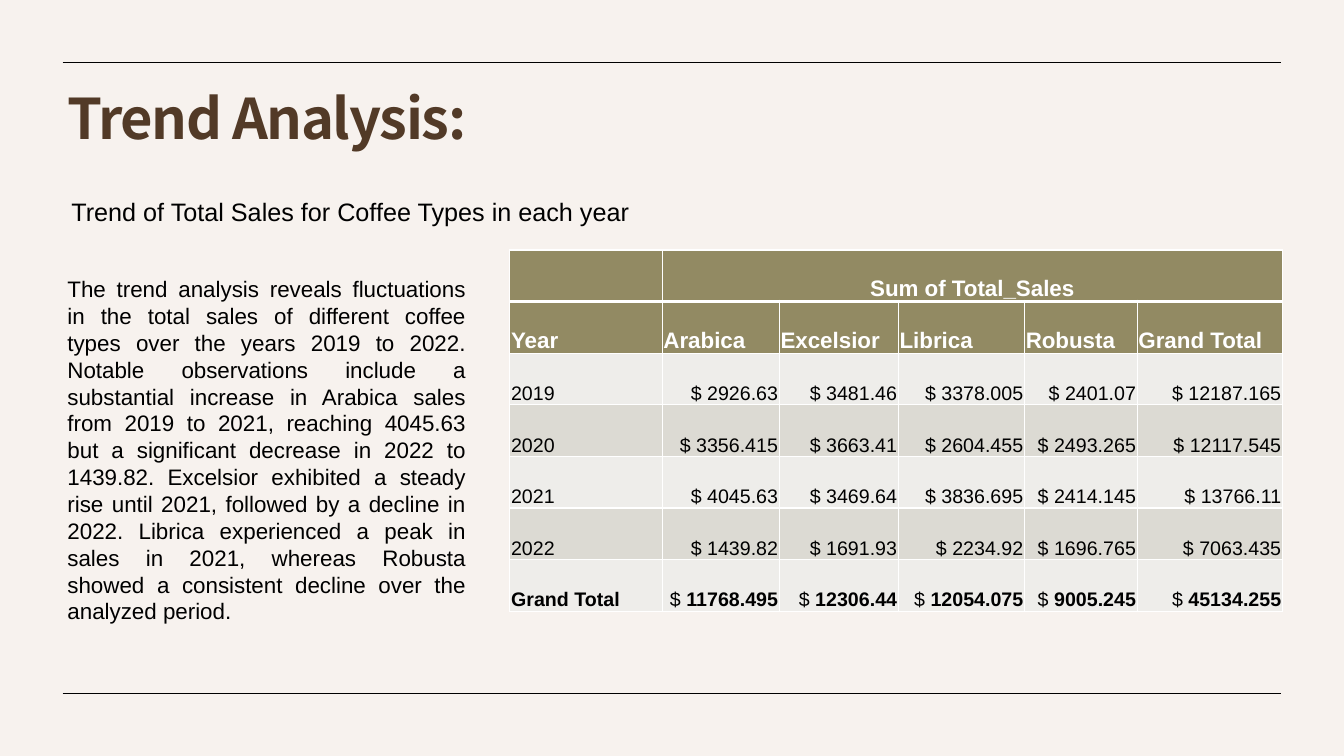
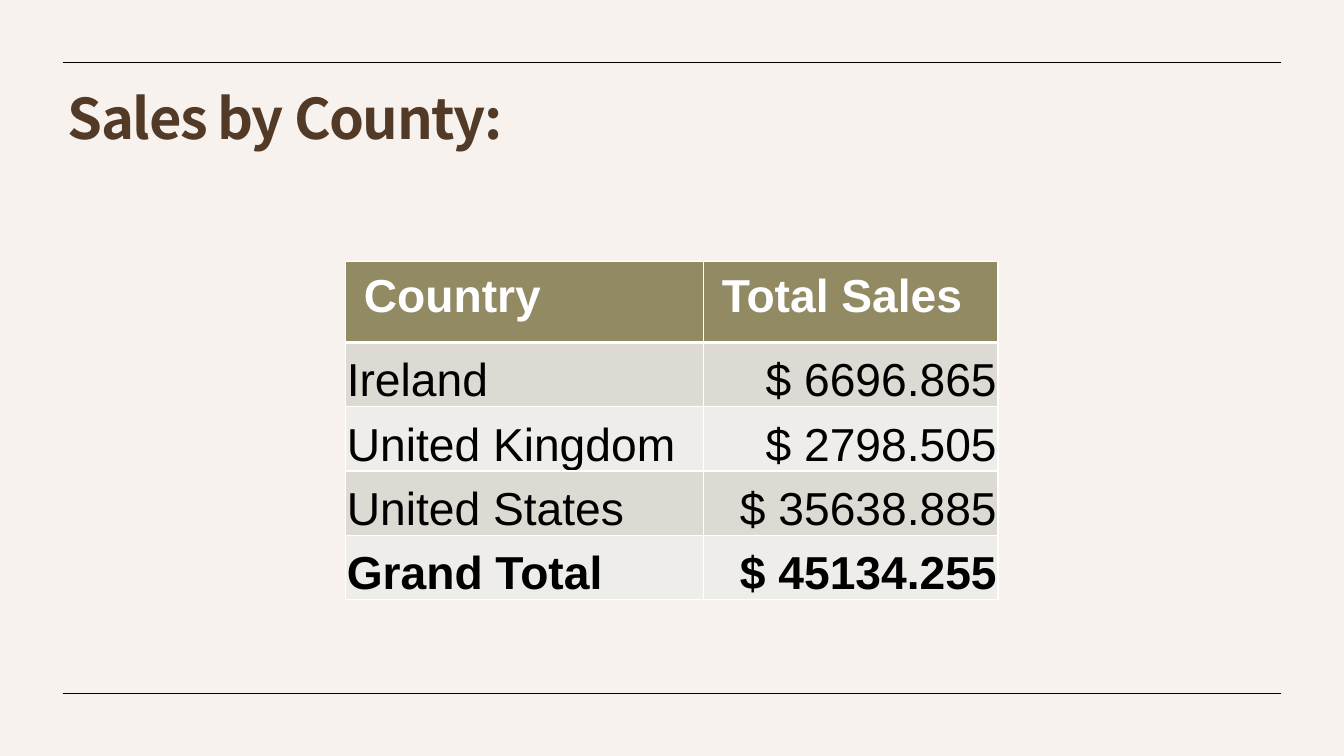
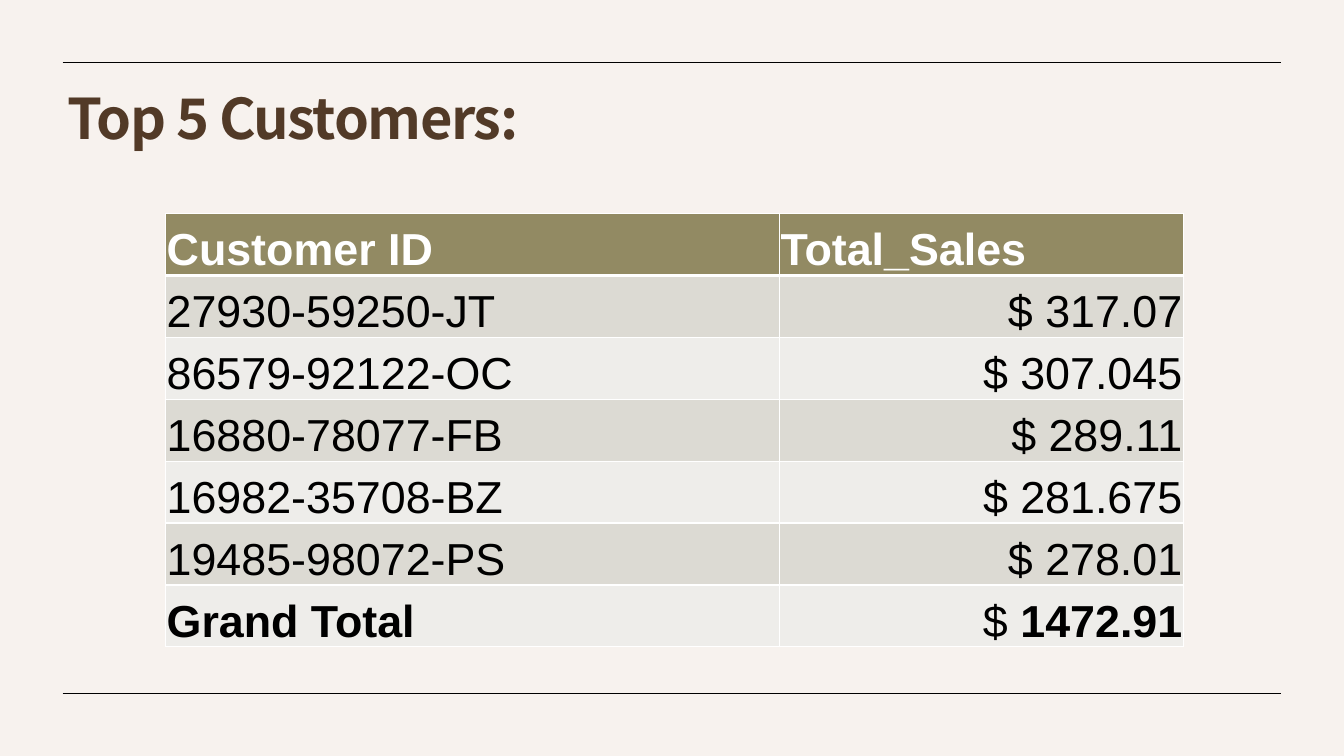
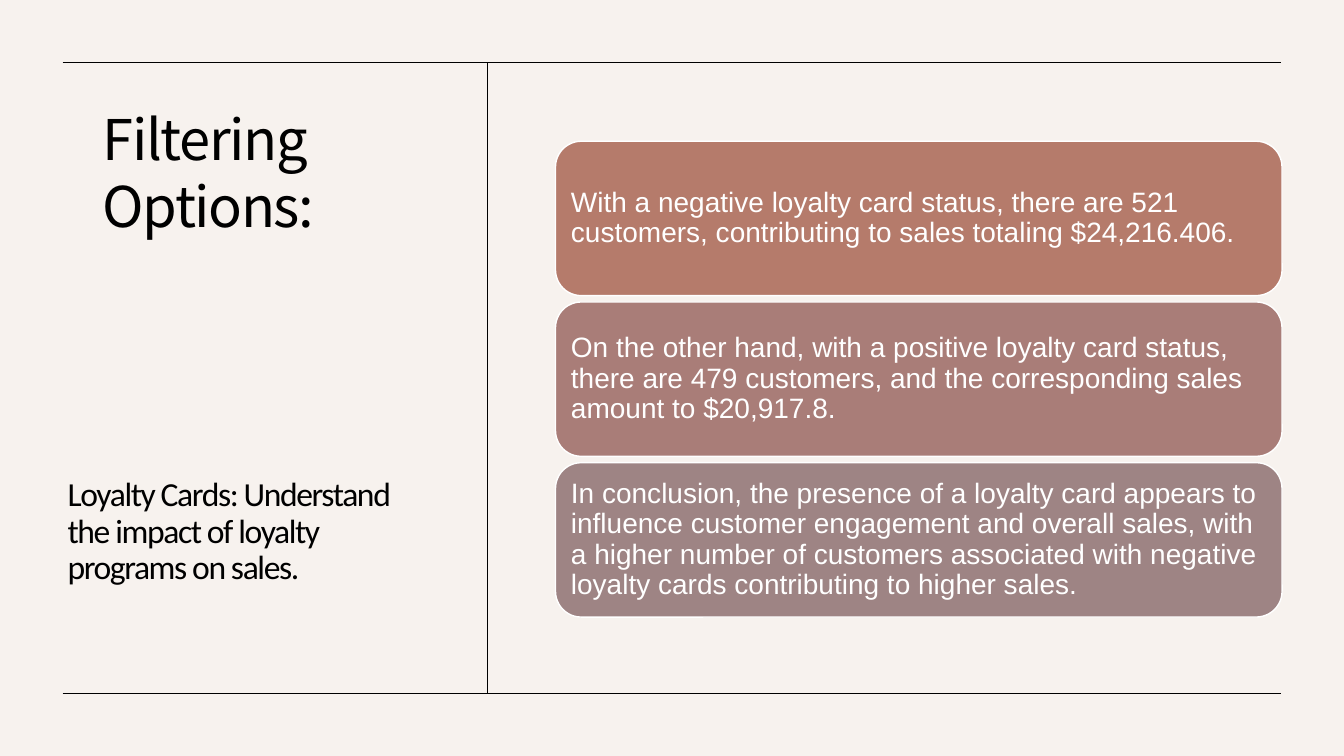
from lxml.etree import SubElement
from pptx import Presentation
from pptx.dml.color import RGBColor
from pptx.enum.shapes import MSO_CONNECTOR, MSO_SHAPE
from pptx.enum.text import MSO_ANCHOR, MSO_AUTO_SIZE, PP_ALIGN
from pptx.oxml.ns import qn
from pptx.util import Cm, Pt

WIDTH, HEIGHT = 33.87, 19.05
LEFT, RIGHT, TOP, BOTTOM, DIVIDER = 1.58, 32.28, 1.58, 17.47, 12.27
PAPER, BROWN, OLIVE, BLACK, WHITE = "F7F2EE", "523A27", "928A63", "000000", "FFFFFF"
BANDS = ["EEEDEA", "DCDAD3"]
HEADING = {"name": "Noto Sans CJK KR", "size": Pt(40)}
TITLE_BOX = (1.45, 2.18, 30.86, 2.92)

TABLE_SLIDES = [
    {
        "title": "Trend Analysis:",
        "texts": [
            ("Trend of Total Sales for Coffee Types in each year",
             (1.55, 4.83, 16.94, 1.02), 18, PP_ALIGN.LEFT),
            ("The trend analysis reveals fluctuations in the total sales of different coffee types "
             "over the years 2019 to 2022. Notable observations include a substantial increase in "
             "Arabica sales from 2019 to 2021, reaching 4045.63 but a significant decrease in 2022 "
             "to 1439.82. Excelsior exhibited a steady rise until 2021, followed by a decline in "
             "2022. Librica experienced a peak in sales in 2021, whereas Robusta showed a consistent "
             "decline over the analyzed period.",
             (1.45, 6.81, 10.54, 9.14), 16, PP_ALIGN.JUSTIFY),
        ],
        "at": (12.85, 6.3),
        "cols": [3.84, 2.95, 3, 3.18, 2.84, 3.66],
        "heights": (1.3, 1.3),
        "sizes": (16, 14),
        "span": "Sum of Total_Sales",
        "head": ["Year", "Arabica", "Excelsior", "Librica", "Robusta", "Grand Total"],
        "rows": [
            ["2019", "2926.63", "3481.46", "3378.005", "2401.07", "12187.165"],
            ["2020", "3356.415", "3663.41", "2604.455", "2493.265", "12117.545"],
            ["2021", "4045.63", "3469.64", "3836.695", "2414.145", "13766.11"],
            ["2022", "1439.82", "1691.93", "2234.92", "1696.765", "7063.435"],
            ["Grand Total", "11768.495", "12306.44", "12054.075", "9005.245", "45134.255"],
        ],
    },
    {
        "title": "Sales by County:",
        "at": (8.71, 6.58),
        "cols": [9.02, 7.42],
        "heights": (2.05, 1.62),
        "sizes": (33, 33),
        "padded_head": True,
        "bold_sign": True,
        "head": ["Country", "Total Sales"],
        "rows": [
            ["Ireland", "6696.865"],
            ["United Kingdom", "2798.505"],
            ["United States", "35638.885"],
            ["Grand Total", "45134.255"],
        ],
    },
    {
        "title": "Top 5 Customers:",
        "at": (4.17, 5.38),
        "cols": [15.47, 10.19],
        "heights": (1.56, 1.56),
        "sizes": (32, 32),
        "head": ["Customer ID", "Total_Sales"],
        "rows": [
            ["27930-59250-JT", "317.07"],
            ["86579-92122-OC", "307.045"],
            ["16880-78077-FB", "289.11"],
            ["16982-35708-BZ", "281.675"],
            ["19485-98072-PS", "278.01"],
            ["Grand Total", "1472.91"],
        ],
    },
]

LOYALTY_TITLE = "Loyalty Cards: Understand the impact of loyalty programs on sales."
LOYALTY_CARDS = [
    ("B57B6B", "With a negative loyalty card status, there are 521 customers, contributing to "
               "sales totaling $24,216.406."),
    ("A97D78", "On the other hand, with a positive loyalty card status, there are 479 customers, "
               "and the corresponding sales amount to $20,917.8."),
    ("9E8484", "In conclusion, the presence of a loyalty card appears to influence customer "
               "engagement and overall sales, with a higher number of customers associated with "
               "negative loyalty cards contributing to higher sales."),
]
CARD_LEFT, CARD_TOP, CARD_WIDTH, CARD_HEIGHT, CARD_PITCH = 14, 3.56, 18.31, 3.89, 4.05


def rgb(value):
    return RGBColor.from_string(value)


def apply(target, **values):
    for key, value in values.items():
        setattr(target, key, value)


def add_run(p, text, color=BLACK, spacing=None, **font):
    r = p.add_run()
    r.text = text
    apply(r.font, **{"name": "Arial", **font})
    r.font.color.rgb = rgb(color)
    if spacing:
        r._r.get_or_add_rPr().set("spc", str(spacing))


def place(sp, box):
    apply(sp, **dict(zip(("left", "top", "width", "height"), map(Cm, box))))


def add_text(slide, box, text, align=PP_ALIGN.LEFT, **font):
    tf = slide.shapes.add_textbox(*map(Cm, box)).text_frame
    tf.word_wrap = True
    p = tf.paragraphs[0]
    p.alignment = align
    add_run(p, text, **font)


def add_rule(slide, x1, y1, x2, y2):
    line = slide.shapes.add_connector(MSO_CONNECTOR.STRAIGHT, *map(Cm, (x1, y1, x2, y2)))
    line.line.color.rgb = rgb(BLACK)
    line.line.width = Pt(0.5)
    SubElement(line._element.spPr, qn("a:effectLst"))


def new_slide(prs, title, box=TITLE_BOX, anchor=MSO_ANCHOR.TOP, **font):
    slide = prs.slides.add_slide(prs.slide_layouts[5])
    sp = slide.shapes.title
    place(sp, box)
    tf = sp.text_frame
    apply(tf, word_wrap=True, auto_size=MSO_AUTO_SIZE.NONE, vertical_anchor=anchor)
    p = tf.paragraphs[0]
    apply(p, alignment=PP_ALIGN.LEFT, line_spacing=0.9)
    add_run(p, title, spacing=-100, **font)
    for y in (TOP, BOTTOM):
        add_rule(slide, LEFT, y, RIGHT, y)
    return slide


def set_borders(cell, **widths):
    tcPr = cell._tc.get_or_add_tcPr()
    for side in "LRTB":
        ln = SubElement(tcPr, qn(f"a:ln{side}"), w=str(Pt(widths.get(side, 1))))
        SubElement(SubElement(ln, qn("a:solidFill")), qn("a:srgbClr"), val=WHITE)


def add_sales_table(slide, data):
    cols, body = data["cols"], data["rows"]
    span = data.get("span")
    heads = [["", span] + [""] * (len(cols) - 2)] if span else []
    heads.append(data["head"])
    rows = heads + body
    heights = [data["heights"][i >= len(heads)] for i in range(len(rows))]
    box = (*data["at"], sum(cols), sum(heights))
    table = slide.shapes.add_table(len(rows), len(cols), *map(Cm, box)).table
    apply(table, first_row=False, horz_banding=False)
    for column, width in zip(table.columns, cols):
        column.width = Cm(width)

    for i, values in enumerate(rows):
        table.rows[i].height = Cm(heights[i])
        is_head, is_total = i < len(heads), i == len(rows) - 1
        padded = is_head and data.get("padded_head")
        side, edge = (0.46, 0.23) if padded else (0.03, 0.03)
        for j, text in enumerate(values):
            cell = table.cell(i, j)
            apply(cell, margin_left=Cm(side), margin_right=Cm(side), margin_top=Cm(edge),
                  margin_bottom=Cm(edge if padded else 0),
                  vertical_anchor=MSO_ANCHOR.TOP if padded else MSO_ANCHOR.BOTTOM)
            set_borders(cell, **({"B": 3} if i == 0 else {"T": 3} if i == 1 else {}))
            cell.fill.solid()
            cell.fill.fore_color.rgb = rgb(OLIVE if is_head else BANDS[i % 2])
            if not text:
                continue
            font = {"size": Pt(data["sizes"][not is_head]), "color": WHITE if is_head else BLACK}
            p = cell.text_frame.paragraphs[0]
            if j and not is_head:
                p.alignment = PP_ALIGN.RIGHT
                add_run(p, "$ ", bold=is_total and data.get("bold_sign", False), **font)
            add_run(p, text, bold=is_head or is_total, **font)
    if span:
        table.cell(0, 1).merge(table.cell(0, len(cols) - 1))
        table.cell(0, 1).text_frame.paragraphs[0].alignment = PP_ALIGN.CENTER


def add_card(slide, index, color, text):
    box = (CARD_LEFT, CARD_TOP + index * CARD_PITCH, CARD_WIDTH, CARD_HEIGHT)
    sp = slide.shapes.add_shape(MSO_SHAPE.ROUNDED_RECTANGLE, *map(Cm, box))
    sp.shadow.inherit = False
    sp.fill.solid()
    sp.fill.fore_color.rgb = rgb(color)
    sp.line.color.rgb = rgb(WHITE)
    sp.line.width = Pt(1)
    tf = sp.text_frame
    apply(tf, word_wrap=True, vertical_anchor=MSO_ANCHOR.MIDDLE,
          margin_left=Cm(0.2), margin_right=Cm(0.2))
    p = tf.paragraphs[0]
    apply(p, alignment=PP_ALIGN.LEFT, line_spacing=0.9)
    add_run(p, text, WHITE, size=Pt(20))


def main():
    prs = Presentation()
    apply(prs, slide_width=Cm(WIDTH), slide_height=Cm(HEIGHT))
    background = prs.slide_master.background.fill
    background.solid()
    background.fore_color.rgb = rgb(PAPER)

    for data in TABLE_SLIDES:
        slide = new_slide(prs, data["title"], color=BROWN, bold=True, **HEADING)
        add_sales_table(slide, data)
        for text, box, size, align in data.get("texts", []):
            add_text(slide, box, text, align, size=Pt(size))

    slide = new_slide(prs, LOYALTY_TITLE, (1.45, 2.51, 9.73, 12.4), MSO_ANCHOR.BOTTOM,
                      name="Calibri", size=Pt(24))
    add_rule(slide, DIVIDER, TOP, DIVIDER, BOTTOM)
    for index, (color, text) in enumerate(LOYALTY_CARDS):
        add_card(slide, index, color, text)
    add_text(slide, (2.34, 2.51, 7.72, 3.68), "Filtering Options:", spacing=-100, **HEADING)
    prs.save("out.pptx")


if __name__ == "__main__":
    main()
